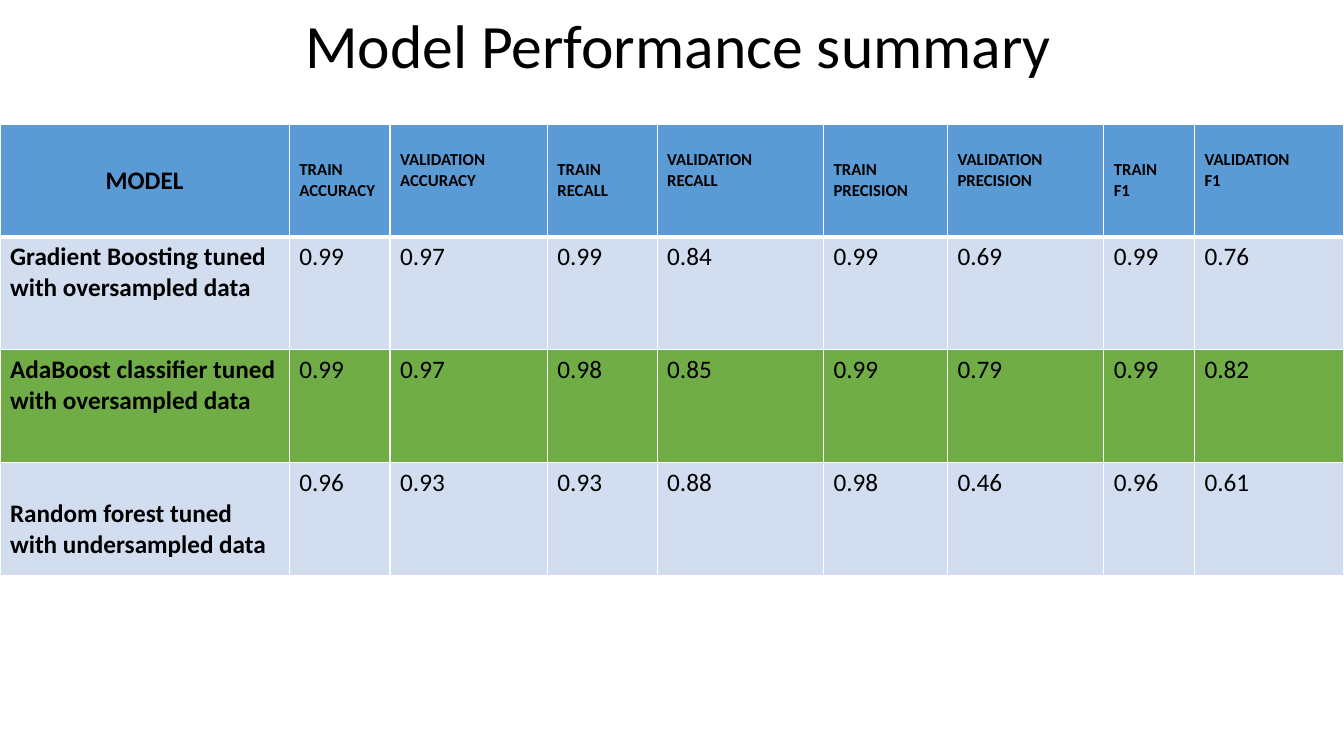
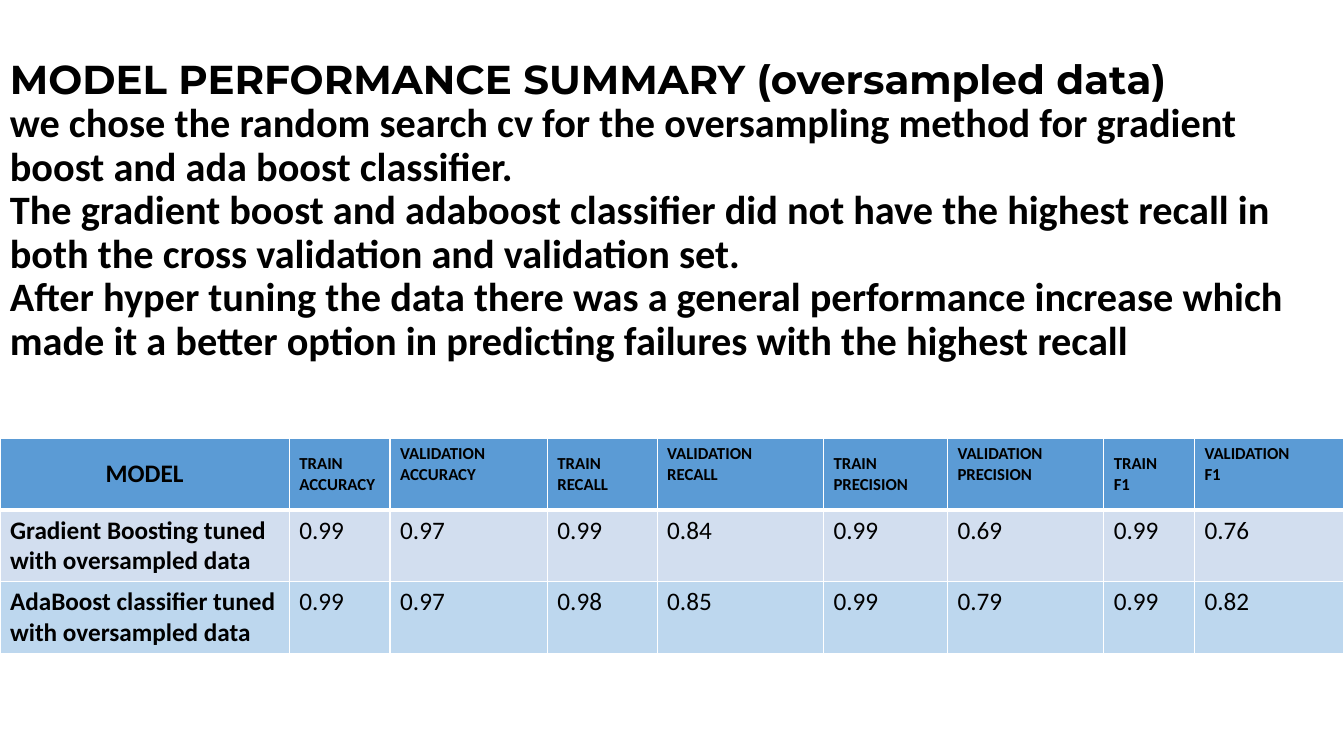
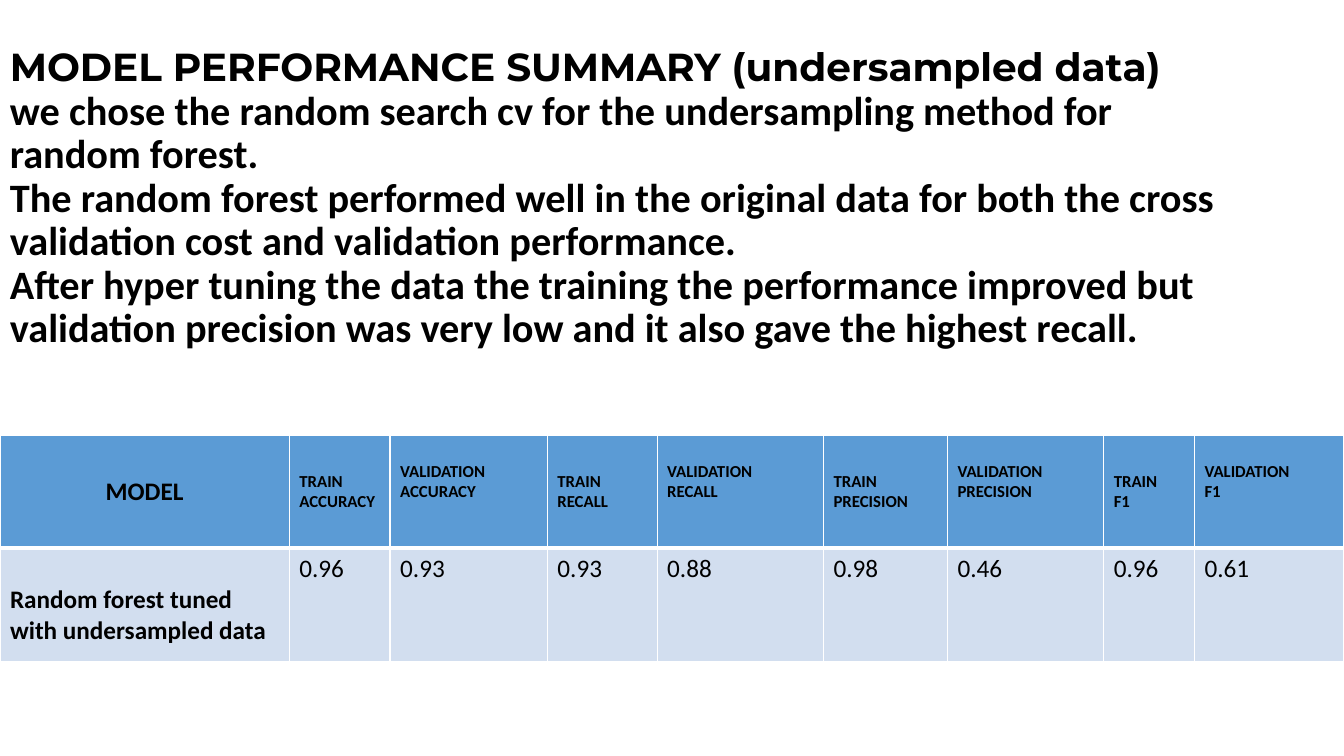
from lxml import etree
from pptx import Presentation
from pptx import util as u
from pptx.dml.color import RGBColor
from pptx.enum import text
from pptx.oxml import ns

HUES = {"ink": "000000", "head": "5B9BD5", "pale": "D2DEEF",
        "best": "70AD47", "soft": "BDD7EE", "edge": "FFFFFF"}
BODY, DISPLAY = "Calibri", "Montserrat"
WIDTHS = [28.7, 10, 15.6, 10.9, 16.5, 12.3, 15.5, 9, 14.8]
HEADS = ["MODEL"] + [f"{part}\n{score}"
                     for score in ("ACCURACY", "RECALL", "PRECISION", "F1")
                     for part in ("TRAIN", "VALIDATION")]
BOOST = ["Gradient Boosting tuned with oversampled data",
         "0.99", "0.97", "0.99", "0.84", "0.99", "0.69", "0.99", "0.76"]
ADA = ["AdaBoost classifier tuned with oversampled data",
       "0.99", "0.97", "0.98", "0.85", "0.99", "0.79", "0.99", "0.82"]
FOREST = ["Random forest tuned with undersampled data",
          "0.96", "0.93", "0.93", "0.88", "0.98", "0.46", "0.96", "0.61"]


def grid(n):
    """Length of n grid steps; the slide is 133.33 by 75 steps."""
    return u.Inches(n / 10)


class Deck:
    """The shared style and the slide being filled."""

    def __init__(self):
        self.file = Presentation()
        self.file.slide_width, self.file.slide_height = grid(133.33), grid(75)

    def page(self):
        self.slide = self.file.slides.add_slide(self.file.slide_layouts[6])

    def style(self, para, size, bold=False, font=BODY):
        for run in para.runs:
            run.font.name, run.font.size, run.font.bold = font, u.Pt(size), bold
            run.font.color.rgb = RGBColor.from_string(HUES["ink"])

    def box(self, left, top, width, height, words):
        shape = self.slide.shapes.add_textbox(*map(grid, (left, top, width, height)))
        frame = shape.text_frame
        frame.word_wrap = True
        frame.text = words
        for para in frame.paragraphs:
            para.line_spacing = 0.9
        return frame

    def title(self, words):
        frame = self.box(29.3, 0.8, 95, 8, words)
        frame.vertical_anchor = text.MSO_ANCHOR.MIDDLE
        self.style(frame.paragraphs[0], 44)

    def story(self, top, width, size, lines):
        """A display heading of the given size, then body lines."""
        frame = self.box(0, top, width, 31, "\n".join(lines))
        head, *rest = frame.paragraphs
        self.style(head, size, True, DISPLAY)
        for para in rest:
            self.style(para, 28.8, True)

    def edges(self, cell, row):
        """White borders, heavy between the header and the first row."""
        heavy = {0: "B", 1: "T"}.get(row)
        prop = cell._tc.get_or_add_tcPr()
        for side in "LRTB":
            line = etree.SubElement(prop, ns.qn(f"a:ln{side}"),
                                    w=str(u.Pt(3 if side == heavy else 1)))
            fill = etree.SubElement(line, ns.qn("a:solidFill"))
            etree.SubElement(fill, ns.qn("a:srgbClr"), val=HUES["edge"])

    def cell(self, cell, row, col, words, hue):
        self.edges(cell, row)
        cell.fill.solid()
        cell.fill.fore_color.rgb = RGBColor.from_string(HUES[hue])
        cell.text = words
        head = row == 0
        if head:
            cell.vertical_anchor = text.MSO_ANCHOR.MIDDLE
        if words.startswith("VALIDATION"):
            cell.margin_bottom = grid(2.5)
        if words == FOREST[0]:
            cell.margin_top = grid(3.6)
        for para in cell.text_frame.paragraphs:
            self.style(para, 12 if head and col else 18, head or col == 0)
            if head and col == 0:
                para.alignment = text.PP_ALIGN.CENTER

    def scores(self, top, height, *rows):
        """A score table; each row is a pair of values and fill."""
        rows = [(HEADS, "head"), *rows]
        table = self.slide.shapes.add_table(
            len(rows), len(HEADS), 0, grid(top),
            grid(sum(WIDTHS)), grid(height * len(rows))).table
        for col, width in zip(table.columns, WIDTHS):
            col.width = grid(width)
        for r, (values, hue) in enumerate(rows):
            table.rows[r].height = grid(height)
            for c, words in enumerate(values):
                self.cell(table.cell(r, c), r, c, words, hue)


def main():
    deck = Deck()

    deck.page()
    deck.scores(12.3, 11.2, (BOOST, "pale"), (ADA, "best"), (FOREST, "pale"))
    deck.title("Model Performance summary")

    deck.page()
    deck.scores(43.5, 7.1, (BOOST, "pale"), (ADA, "soft"))
    deck.story(5.4, 133.3, 28.8, [
        "MODEL PERFORMANCE SUMMARY (oversampled data)",
        "we chose the random search cv for the oversampling method for "
        "gradient boost and ada boost classifier.",
        "The gradient boost and adaboost classifier did not have the highest "
        "recall in both the cross validation and validation set.",
        "After hyper tuning the data there was a general performance increase "
        "which made it a better option in predicting failures with the "
        "highest recall"])

    deck.page()
    deck.story(4.3, 124.2, 27.9, [
        "MODEL PERFORMANCE SUMMARY (undersampled data)",
        "we chose the random search cv for the undersampling method for "
        "random forest.",
        "The random forest performed well in the original data for both the "
        "cross validation cost and validation performance.",
        "After hyper tuning the data the training the performance improved "
        "but validation precision was very low and it also gave the highest "
        "recall."])
    deck.scores(43.2, 11.2, (FOREST, "pale"))

    deck.file.save("out.pptx")


if __name__ == "__main__":
    main()
